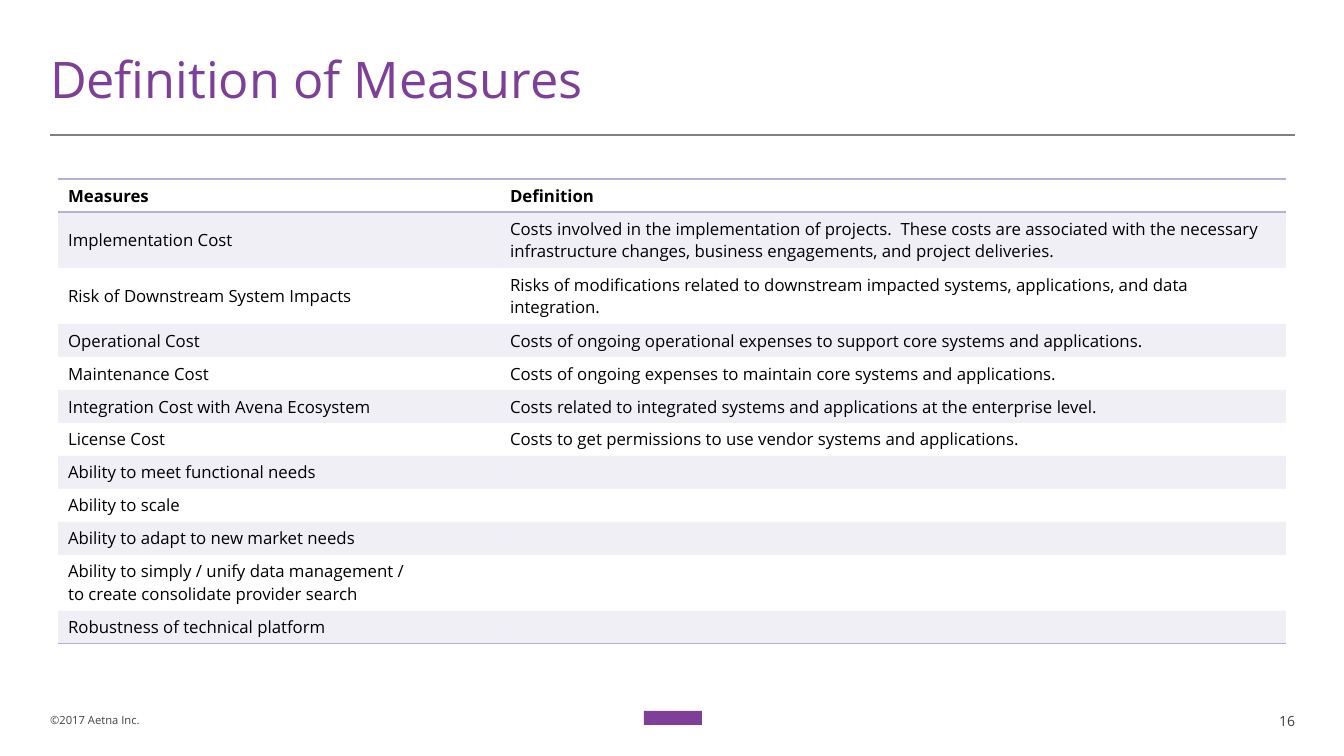
import lxml.etree
import pptx
import pptx.dml.color
import pptx.enum.shapes
import pptx.enum.text
import pptx.oxml.ns
import pptx.util

TITLE = "Definition of Measures"
COPY = "©2017 Aetna Inc."
PAGE = "16"
ROWS = [
    ("Measures", "Definition"),
    ("Implementation Cost",
     "Costs involved in the implementation of projects.  These costs are associated "
     "with the necessary infrastructure changes, business engagements, and project "
     "deliveries."),
    ("Risk of Downstream System Impacts",
     "Risks of modifications related to downstream impacted systems, applications, "
     "and data integration."),
    ("Operational Cost",
     "Costs of ongoing operational expenses to support core systems and applications."),
    ("Maintenance Cost",
     "Costs of ongoing expenses to maintain core systems and applications."),
    ("Integration Cost with Avena Ecosystem",
     "Costs related to integrated systems and applications at the enterprise level."),
    ("License Cost",
     "Costs to get permissions to use vendor systems and applications."),
    ("Ability to meet functional needs", ""),
    ("Ability to scale", ""),
    ("Ability to adapt to new market needs", ""),
    ("Ability to simply / unify data management /\nto create consolidate provider search",
     ""),
    ("Robustness of technical platform", ""),
]
TALL = {1, 2, 10}  # rows with two lines of text
LOW, HIGH = 33, 56
COLS = (442, 786)

THEME = {
    "font": "Open Sans",
    "brand": "7D3F98", "band": "B9AFD6", "rule": "808080",
    "text": "000000", "foot": "414141", "page": "3F3F3F",
    "title": 36, "cell": 12, "small": 8, "number": 10,
}
ALIGN = pptx.enum.text.PP_ALIGN
MIDDLE = pptx.enum.text.MSO_ANCHOR.MIDDLE
FLUSH = dict.fromkeys(("margin_left", "margin_top", "margin_right", "margin_bottom"), 0)
qn = pptx.oxml.ns.qn


def px(n):
    return round(n * 914400 / 100.8)


def color(name):
    return pptx.dml.color.RGBColor.from_string(THEME[name])


def apply(item, values):
    for name, value in values.items():
        setattr(item, name, value)


def style(frame, size, tone, bold=False, **para):
    """Format every paragraph of a text frame."""
    for line in frame.paragraphs:
        apply(line, para)
        for run in line.runs:
            apply(run.font, {"name": THEME["font"], "bold": bold,
                             "size": pptx.util.Pt(THEME[size])})
            run.font.color.rgb = color(tone)


def label(slide, text, box, size, tone, align, **inset):
    frame = slide.shapes.add_textbox(*map(px, box)).text_frame
    apply(frame, {"word_wrap": True, "vertical_anchor": MIDDLE, **inset})
    frame.text = text
    style(frame, size, tone, alignment=align)


def border(cell, sides):
    props = cell._tc.get_or_add_tcPr()
    for spot, side in enumerate(sides):
        line = lxml.etree.Element(qn("a:ln" + side), w=str(pptx.util.Pt(1)))
        fill = lxml.etree.SubElement(line, qn("a:solidFill"))
        lxml.etree.SubElement(fill, qn("a:srgbClr"), val=THEME["band"])
        props.insert(spot, line)


def shade(cell):
    """Fill a cell with the band colour at 20% opacity."""
    cell.fill.solid()
    cell.fill.fore_color.rgb = color("band")
    tint = cell._tc.tcPr.find(".//" + qn("a:srgbClr"))
    lxml.etree.SubElement(tint, qn("a:alpha"), val="20000")


def add_grid(slide):
    tall = [HIGH if i in TALL else LOW for i in range(len(ROWS))]
    box = (58, 179, sum(COLS), sum(tall))
    frame = slide.shapes.add_table(len(ROWS), len(COLS), *map(px, box))
    grid = frame.table
    apply(grid, {"first_row": False, "horz_banding": False})
    plain = "{2D5ABB26-0587-4C30-8999-92F81FD0307C}"
    next(frame.element.iter(qn("a:tableStyleId"))).text = plain
    for col, width in zip(grid.columns, COLS):
        col.width = px(width)
    for i, (row, height) in enumerate(zip(grid.rows, tall)):
        row.height = px(height)
        for cell, text in zip(row.cells, ROWS[i]):
            if text:
                cell.text = text
                style(cell.text_frame, "cell", "text", bold=i == 0)
            else:
                end = lxml.etree.SubElement(cell.text_frame.paragraphs[0]._p,
                                            qn("a:endParaRPr"),
                                            sz=str(THEME["cell"] * 100))
                lxml.etree.SubElement(end, qn("a:latin"), typeface=THEME["font"])
            if i:
                cell.vertical_anchor = MIDDLE
            if i % 2:
                shade(cell)
            else:
                cell.fill.background()
            if i == 0:
                border(cell, "TB")
            elif i == len(ROWS) - 1:
                border(cell, "B")


def main():
    deck = pptx.Presentation()
    apply(deck, {"slide_width": px(1344), "slide_height": px(756)})
    slide = deck.slides.add_slide(deck.slide_layouts[5])

    head = slide.shapes.title
    apply(head, dict(zip(("left", "top", "width", "height"), map(px, (50, 42, 1042, 81)))))
    apply(head.text_frame, {"word_wrap": True, "vertical_anchor": MIDDLE, **FLUSH,
                            "auto_size": pptx.enum.text.MSO_AUTO_SIZE.NONE})
    head.text_frame.text = TITLE
    style(head.text_frame, "title", "brand", alignment=ALIGN.LEFT, line_spacing=0.9)

    rule = slide.shapes.add_connector(pptx.enum.shapes.MSO_CONNECTOR.STRAIGHT,
                                      *map(px, (50, 135, 1295, 135)))
    rule.line.width = pptx.util.Pt(1)
    rule.line.color.rgb = color("rule")
    lxml.etree.SubElement(rule.element.spPr, qn("a:effectLst"))

    add_grid(slide)
    label(slide, COPY, (50, 708, 425, 25), "small", "foot", ALIGN.LEFT, **FLUSH)
    label(slide, PAGE, (1224, 708, 81, 25), "number", "page", ALIGN.RIGHT)

    mark = slide.shapes.add_shape(pptx.enum.shapes.MSO_SHAPE.RECTANGLE,
                                  *map(px, (644, 711, 58, 14)))
    mark.shadow.inherit = False
    mark.fill.solid()
    mark.fill.fore_color.rgb = color("brand")
    mark.line.fill.background()

    deck.save("out.pptx")


if __name__ == "__main__":
    main()
